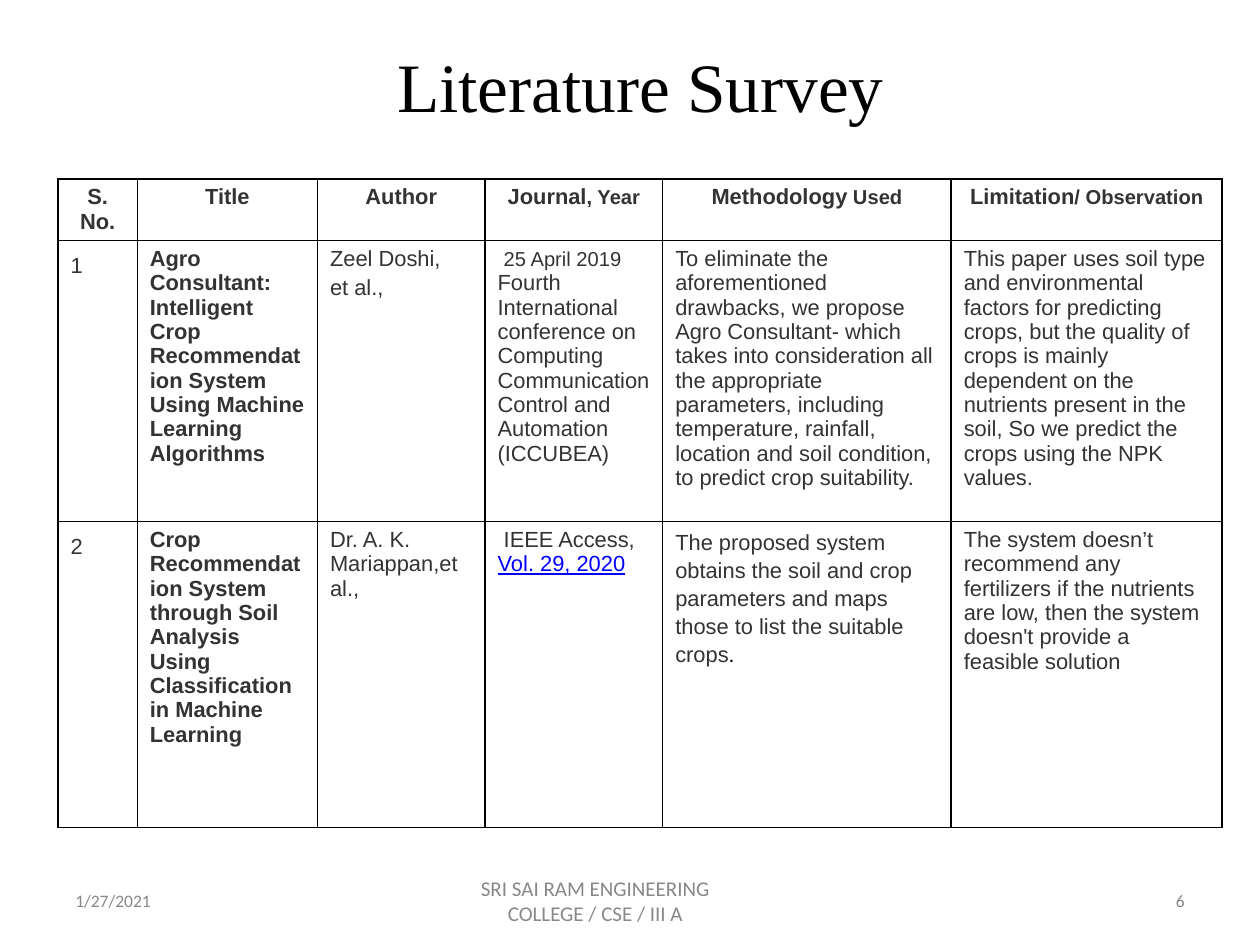
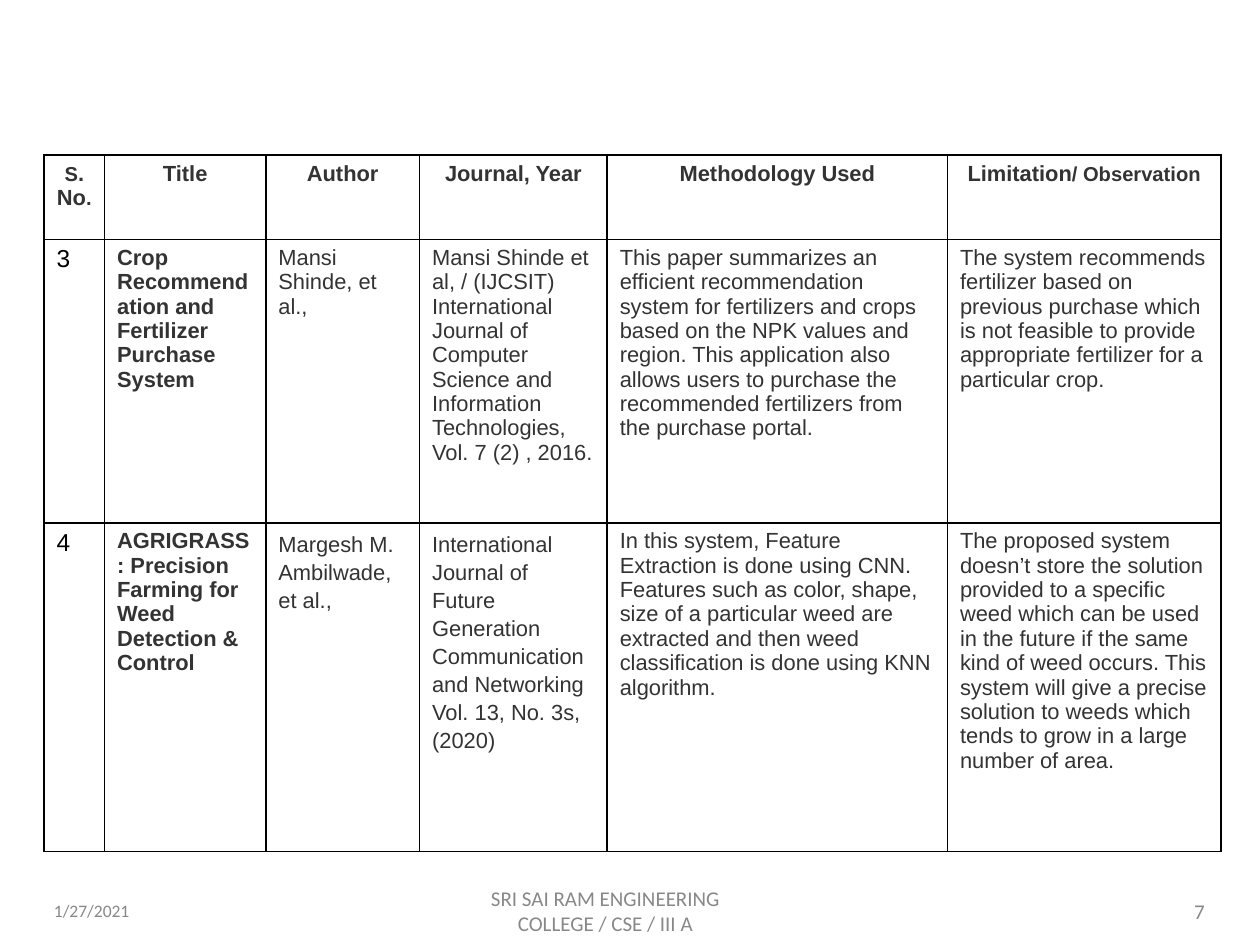
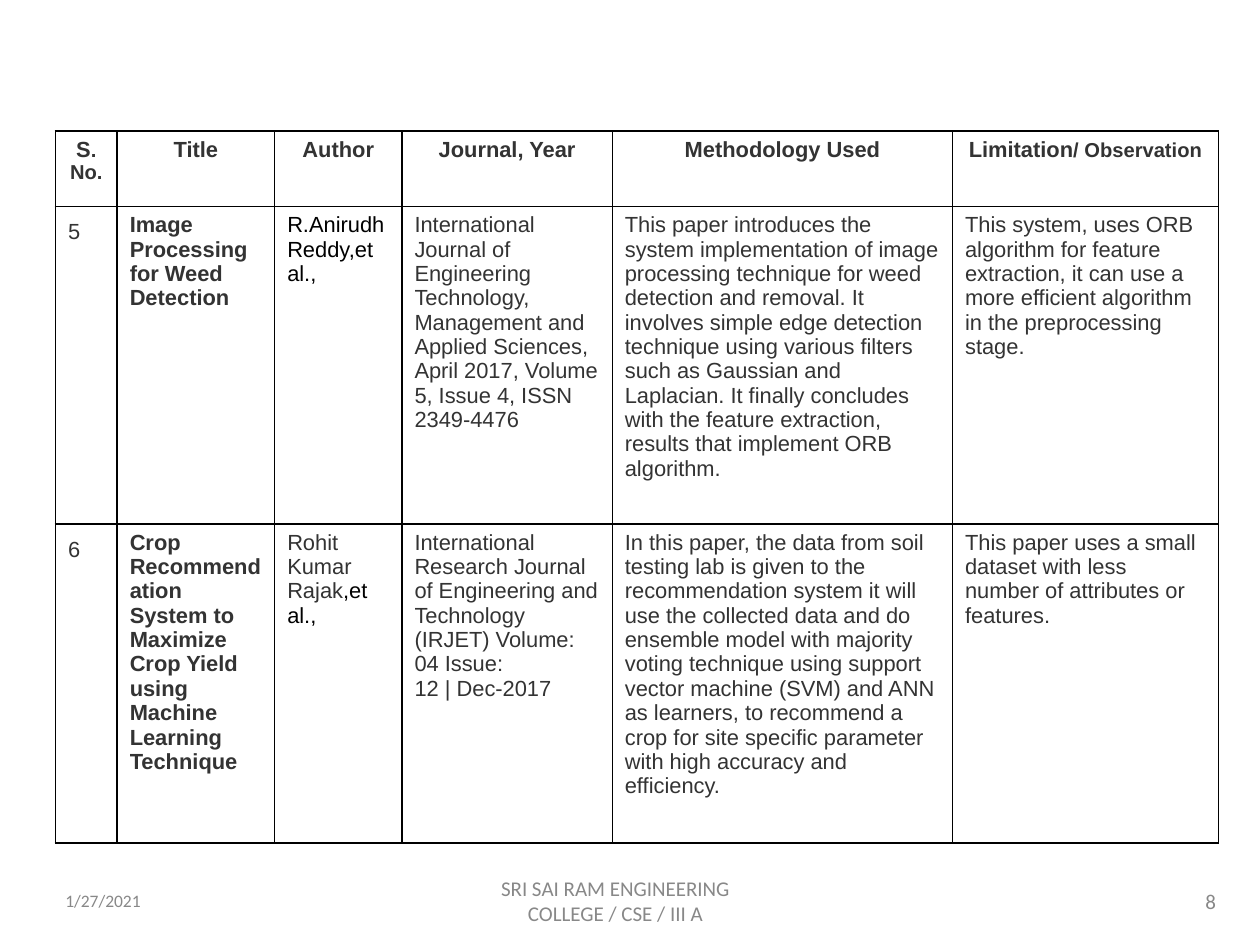
from dataclasses import dataclass

from lxml.etree import SubElement
from pptx import Presentation
from pptx.dml.color import RGBColor
from pptx.enum.text import MSO_ANCHOR as Anchor, MSO_AUTO_SIZE as AutoSize, PP_ALIGN as Align
from pptx.oxml.ns import qn
from pptx.util import Inches, Pt


@dataclass(frozen=True)
class Theme:
    """Colours, fonts and type sizes shared by the slides."""
    black: str = "000000"
    body: str = "333333"
    footer: str = "888888"
    link: str = "0000FF"
    title_font: str = "Times New Roman"
    table_font: str = "Arial"
    footer_font: str = "Calibri"
    title_size: float = 39.6
    table_size: float = 12.5
    small_size: float = 11.5
    number_size: float = 14
    date_size: float = 10
    footer_size: float = 12
    border_width: float = 1


THEME = Theme()


@dataclass(frozen=True)
class Run:
    """A piece of table text that may differ from the body style."""
    text: str
    size: float = THEME.table_size
    color: str = THEME.body
    underline: bool = False


@dataclass(frozen=True)
class Cell:
    """Paragraphs of runs with a line spacing and a gap between paragraphs."""
    paragraphs: tuple
    line_spacing: float = 1.0
    gap: float = 0


def small(text):
    """Return a run in the small table size."""
    return Run(text, THEME.small_size)


def spaced(*lines, line_spacing=1.15, gap=0):
    """Return a cell with one plain run in each paragraph."""
    return Cell(tuple((Run(line),) for line in lines), line_spacing, gap)


def mixed(*runs, line_spacing=1.0):
    """Return a cell with one paragraph of several runs."""
    return Cell((runs,), line_spacing)


def index_cell(text):
    """Return a serial number cell with open line spacing."""
    return spaced(text, line_spacing=1.3)


def large_index_cell(text):
    """Return a serial number cell in large black type."""
    return mixed(Run(text, THEME.number_size, THEME.black))


LIMITATION = mixed(Run("Limitation"), small("/ Observation"))
PLAIN_HEADINGS = ["Title", "Author", "Journal, Year", "Methodology Used", LIMITATION]
COLLEGE = "SRI SAI RAM ENGINEERING COLLEGE / CSE / III A"
DATE = "1/27/2021"

SURVEYS = [
    {
        "title": "Literature Survey",
        "table_at": (0.46, 1.42),
        "columns": [0.63, 1.43, 1.33, 1.41, 2.29, 2.15],
        "heights": [0.48, 2.23, 2.43],
        "footer_top": 6.95,
        "footer_lefts": (0.5, 3.42, 7.17),
        "page": "6",
        "page_size": THEME.date_size,
        "rows": [
            ["S. No.", "Title", "Author",
             mixed(Run("Journal"), small(", Year")),
             mixed(Run("Methodology"), small(" Used")), LIMITATION],
            [index_cell("1"),
             "Agro Consultant: Intelligent Crop Recommendation System Using Machine Learning Algorithms",
             spaced("Zeel Doshi,", "et al.,", line_spacing=1.0, gap=2.8),
             mixed(Run(" "), small("25 April 2019 "),
                   Run("Fourth International conference on Computing Communication Control and "
                       "Automation (ICCUBEA)")),
             "To eliminate the aforementioned drawbacks, we propose Agro Consultant- which takes into "
             "consideration all the appropriate parameters, including temperature, rainfall, location "
             "and soil condition, to predict crop suitability.",
             "This paper uses soil type and environmental factors for predicting crops, but the quality "
             "of crops is mainly dependent on the nutrients present in the soil, So we predict the "
             "crops using the NPK values."],
            [index_cell("2"),
             "Crop Recommendation System through Soil Analysis Using Classification in Machine Learning",
             "Dr. A. K. Mariappan,et al.,",
             mixed(Run(" IEEE Access, "), Run("Vol. 29, 2020", color=THEME.link, underline=True)),
             mixed(Run("The proposed system obtains the soil and crop parameters and maps those to "
                       "list the suitable crops"),
                   Run(".", 12, THEME.black), line_spacing=1.15),
             "The system doesn’t recommend any fertilizers if the nutrients are low, then the system "
             "doesn't provide a feasible solution"],
        ],
    },
    {
        "title": None,
        "table_at": (0.35, 1.23),
        "columns": [0.48, 1.28, 1.22, 1.49, 2.7, 2.17],
        "heights": [0.67, 2.25, 2.61],
        "footer_top": 7.03,
        "footer_lefts": (0.33, 3.5, 7.33),
        "page": "7",
        "page_size": THEME.footer_size,
        "rows": [
            [mixed(small("S"), Run("."), small(" "), Run("No"), small(".")), *PLAIN_HEADINGS],
            [large_index_cell("3"),
             "Crop Recommendation and Fertilizer Purchase System",
             "Mansi Shinde, et al.,",
             "Mansi Shinde et al, / (IJCSIT) International Journal of Computer Science and Information "
             "Technologies, Vol. 7 (2) , 2016.",
             "This paper summarizes an efficient recommendation system for fertilizers and crops based "
             "on the NPK values and region. This application also allows users to purchase the "
             "recommended fertilizers from the purchase portal.",
             "The system recommends fertilizer based on previous purchase which is not feasible to "
             "provide appropriate fertilizer for a particular crop."],
            [large_index_cell("4"),
             "AGRIGRASS: Precision Farming for Weed Detection & Control",
             spaced("Margesh M. Ambilwade, et al.,"),
             spaced("International Journal of Future Generation Communication and Networking",
                    "Vol. 13, No. 3s, (2020)"),
             "In this system, Feature Extraction is done using CNN. Features such as color, shape, size "
             "of a particular weed are extracted and then weed classification is done using KNN "
             "algorithm.",
             "The proposed system doesn’t store the solution provided to a specific weed which can be "
             "used in the future if the same kind of weed occurs. This system will give a precise "
             "solution to weeds which tends to grow in a large number of area."],
        ],
    },
    {
        "title": None,
        "table_at": (0.44, 1.04),
        "columns": [0.49, 1.25, 1.01, 1.67, 2.7, 2.11],
        "heights": [0.6, 2.52, 2.53],
        "footer_top": 6.95,
        "footer_lefts": (0.42, 3.58, 7.42),
        "page": "8",
        "page_size": THEME.footer_size,
        "rows": [
            [mixed(Run("S"), small(". No.")), *PLAIN_HEADINGS],
            [index_cell("5"),
             "Image Processing for Weed Detection",
             mixed(Run("R.Anirudh Reddy,et al.,", color=THEME.black)),
             "International Journal of Engineering Technology, Management and Applied Sciences, April "
             "2017, Volume 5, Issue 4, ISSN 2349-4476",
             "This paper introduces the system implementation of image processing technique for weed "
             "detection and removal. It involves simple edge detection technique using various filters "
             "such as Gaussian and Laplacian. It finally concludes with the feature extraction, results "
             "that implement ORB algorithm.",
             "This system, uses ORB algorithm for feature extraction, it can use a more efficient "
             "algorithm in the preprocessing stage."],
            [index_cell("6"),
             "Crop Recommendation System to Maximize Crop Yield using Machine Learning Technique",
             mixed(Run("Rohit Kumar Rajak"), Run(",et al.,", color=THEME.black)),
             spaced("International Research Journal of Engineering and Technology (IRJET) Volume: 04 "
                    "Issue:", "12 | Dec-2017", line_spacing=1.0),
             "In this paper, the data from soil testing lab is given to the recommendation system it "
             "will use the collected data and do ensemble model with majority voting technique using "
             "support vector machine (SVM) and ANN as learners, to recommend a crop for site specific "
             "parameter with high accuracy and efficiency.",
             "This paper uses a small dataset with less number of attributes or features."],
        ],
    },
]


def style_font(font, name, size, color, bold=False, underline=False):
    """Apply a typeface, size, colour and emphasis to a font."""
    font.name = name
    font.size = Pt(size)
    font.color.rgb = RGBColor.from_string(color)
    font.bold = bold
    font.underline = underline


def add_title(slide, text, left, top, width, height):
    """Place and format the title placeholder in the given box."""
    title = slide.shapes.title
    title.left, title.top, title.width, title.height = map(Inches, (left, top, width, height))
    frame = title.text_frame
    frame.text = text
    frame.auto_size = AutoSize.NONE
    frame.vertical_anchor = Anchor.BOTTOM
    frame.margin_bottom = Inches(0.09)
    paragraph = frame.paragraphs[0]
    paragraph.alignment = Align.CENTER
    style_font(paragraph.runs[0].font, THEME.title_font, THEME.title_size, THEME.black)


def set_borders(table_cell):
    """Draw a solid black line on all four sides of a cell."""
    properties = table_cell._tc.get_or_add_tcPr()
    for position, side in enumerate(("a:lnL", "a:lnR", "a:lnT", "a:lnB")):
        line = SubElement(properties, qn(side), w=str(Pt(THEME.border_width)))
        fill = SubElement(line, qn("a:solidFill"))
        SubElement(fill, qn("a:srgbClr"), val=THEME.black)
        properties.insert(position, line)


def fill_cell(table_cell, content, bold, alignment):
    """Write and format the content of one table cell."""
    cell = spaced(content, line_spacing=1.0) if isinstance(content, str) else content
    table_cell.fill.background()
    set_borders(table_cell)
    frame = table_cell.text_frame
    for index, runs in enumerate(cell.paragraphs):
        paragraph = frame.add_paragraph() if index else frame.paragraphs[0]
        paragraph.alignment = alignment
        paragraph.line_spacing = cell.line_spacing
        if index:
            paragraph.space_before = Pt(cell.gap)
        for item in runs:
            run = paragraph.add_run()
            run.text = item.text
            style_font(run.font, THEME.table_font, item.size, item.color, bold, item.underline)


def add_survey_table(slide, left, top, columns, heights, rows):
    """Add the bordered survey table with its corner at left and top."""
    frame = slide.shapes.add_table(len(rows), len(columns), Inches(left), Inches(top),
                                   Inches(sum(columns)), Inches(sum(heights)))
    table = frame.table
    table.first_row = table.horz_banding = False
    for column, width in zip(table.columns, columns):
        column.width = Inches(width)
    for row_index, (row, height, contents) in enumerate(zip(table.rows, heights, rows)):
        row.height = Inches(height)
        heading = row_index == 0
        for column_index, content in enumerate(contents):
            fill_cell(row.cells[column_index], content, heading or column_index == 1,
                      Align.CENTER if heading else Align.LEFT)


def add_footer(slide, lefts, top, page, page_size):
    """Add the date, college name and page number on one line."""
    parts = [
        (DATE, 2.33, THEME.date_size, Align.LEFT),
        (COLLEGE, 2.61, THEME.footer_size, Align.CENTER),
        (page, 2.33, page_size, Align.RIGHT),
    ]
    for left, (text, width, size, alignment) in zip(lefts, parts):
        box = slide.shapes.add_textbox(Inches(left), Inches(top), Inches(width), Inches(0.4))
        frame = box.text_frame
        frame.word_wrap = True
        frame.vertical_anchor = Anchor.MIDDLE
        frame.text = text
        paragraph = frame.paragraphs[0]
        paragraph.alignment = alignment
        style_font(paragraph.runs[0].font, THEME.footer_font, size, THEME.footer)


def add_survey_slide(presentation, survey):
    """Add one survey slide with its optional title, table and footer."""
    layout_name = "Title Only" if survey["title"] else "Blank"
    slide = presentation.slides.add_slide(presentation.slide_layouts.get_by_name(layout_name))
    if survey["title"]:
        add_title(slide, survey["title"], 0.5, 0.17, 9.17, 0.92)
    add_survey_table(slide, *survey["table_at"], survey["columns"], survey["heights"], survey["rows"])
    add_footer(slide, survey["footer_lefts"], survey["footer_top"], survey["page"], survey["page_size"])


def main():
    """Build the survey slides and save the presentation."""
    presentation = Presentation()
    presentation.slide_width = Inches(10)
    presentation.slide_height = Inches(7.5)
    for survey in SURVEYS:
        add_survey_slide(presentation, survey)
    presentation.save("out.pptx")


if __name__ == "__main__":
    main()
